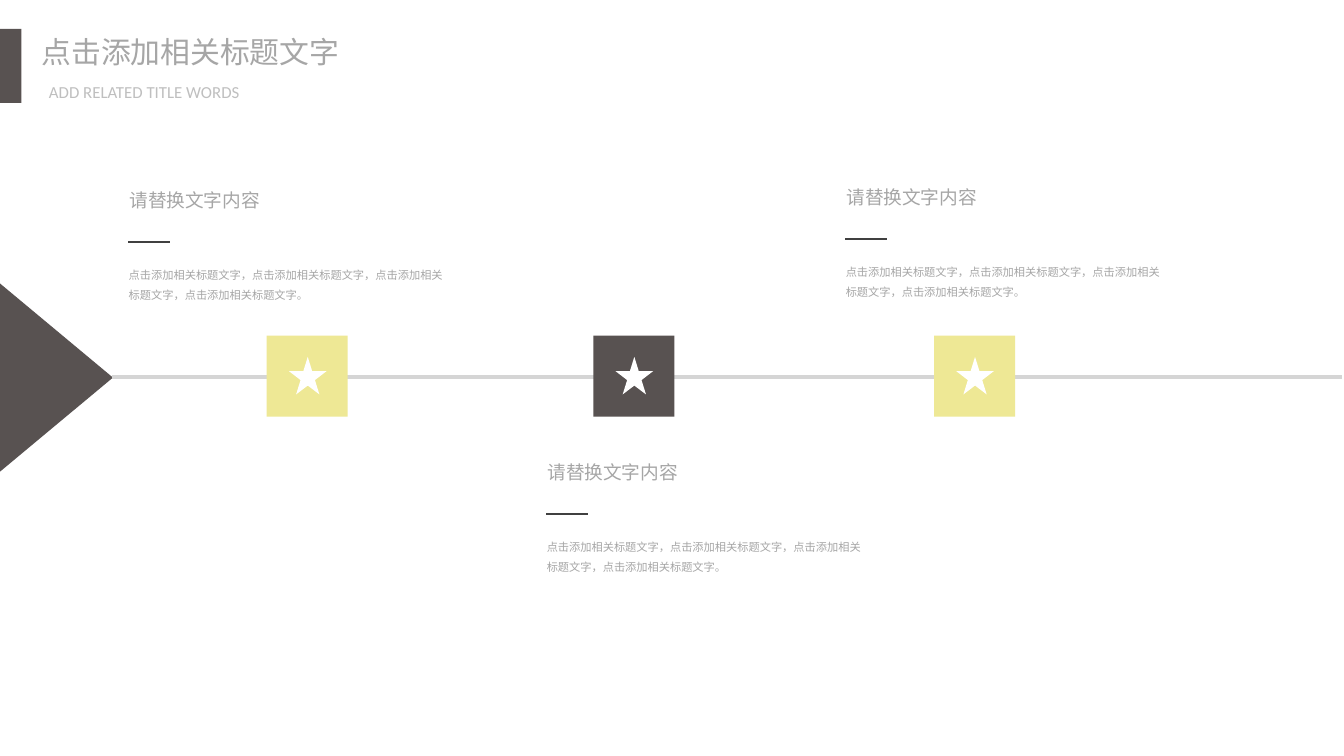
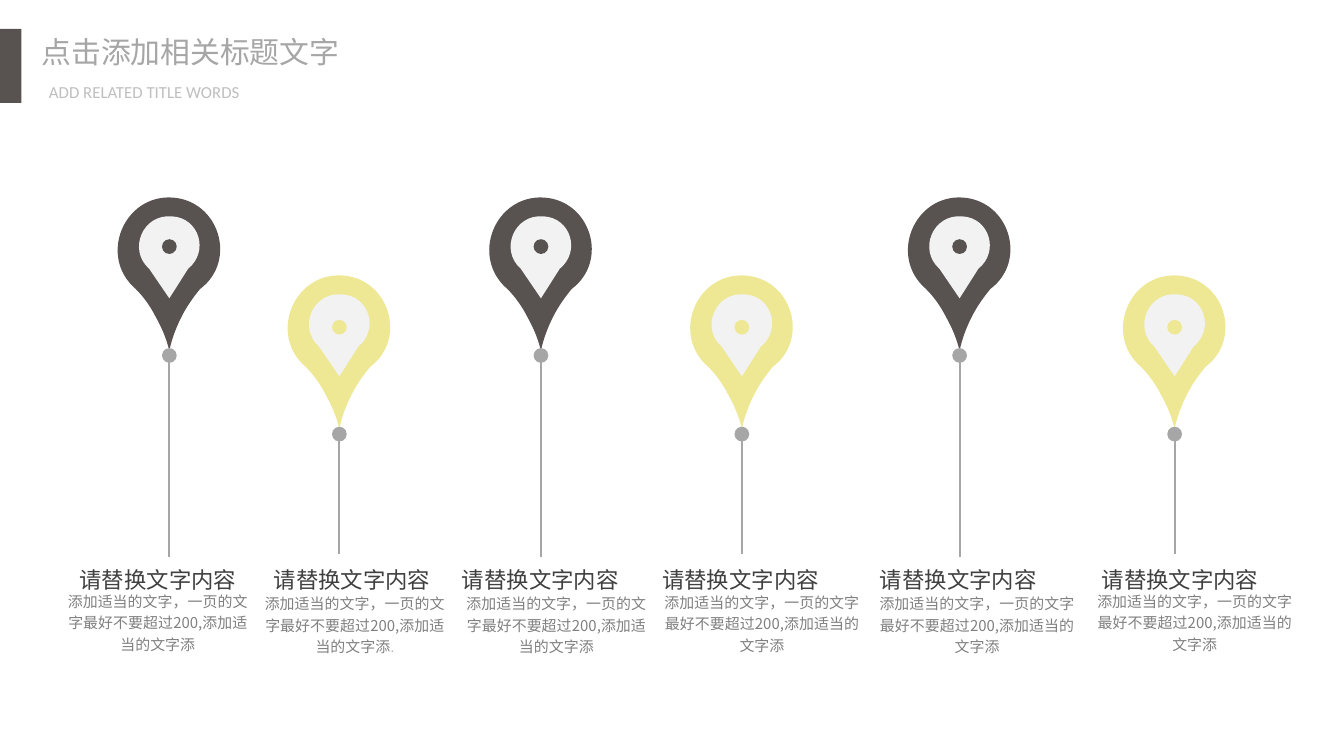
from dataclasses import dataclass
from typing import Optional, Union

from lxml.etree import SubElement
from pptx import Presentation
from pptx.dml.color import RGBColor
from pptx.enum.lang import MSO_LANGUAGE_ID
from pptx.enum.shapes import MSO_CONNECTOR, MSO_SHAPE
from pptx.enum.text import MSO_ANCHOR, MSO_AUTO_SIZE, PP_ALIGN
from pptx.oxml.ns import qn
from pptx.shapes.autoshape import Shape
from pptx.shapes.shapetree import GroupShapes, SlideShapes
from pptx.slide import Slide
from pptx.util import Inches, Length, Pt

Shapes = Union[SlideShapes, GroupShapes]
Point = tuple[float, float]
Box = tuple[float, float, float, float]

COLUMNS, ROWS = 100, 56.25
CELL = 0.1

DARK, YELLOW, WHITE = "585251", "EEE895", "FFFFFF"
GREY, PALE_GREY, TRACK_GREY = "A6A6A6", "BFBFBF", "D5D5D5"
INK, CAPTION_GREY, PIN_CORE = "404040", "808080", "F2F2F2"
CHINESE_FONT = "Noto Sans CJK SC"

TITLE = "点击添加相关标题文字"
SUBTITLE = "ADD RELATED TITLE WORDS"
HEADING = "请替换文字内容"
BODY = "点击添加相关标题文字，点击添加相关标题文字，点击添加相关标题文字，点击添加相关标题文字。"
CAPTION = "添加适当的文字，一页的文字最好不要超过200,添加适当的文字添"


@dataclass(frozen=True)
class TextStyle:
    size: float
    font: str
    color: str
    align: PP_ALIGN = PP_ALIGN.LEFT
    spacing: float = 1.0
    wrap: bool = True
    margins: Point = (1, 0.5)
    anchor: MSO_ANCHOR = MSO_ANCHOR.TOP


TITLE_STYLE = TextStyle(16, CHINESE_FONT, GREY, wrap=False, margins=(0.8, 0.4))
SUBTITLE_STYLE = TextStyle(9, "Calibri", PALE_GREY, PP_ALIGN.JUSTIFY, margins=(0.8, 0.4))
STEP_HEADING_STYLE = TextStyle(10, "Roboto", GREY, wrap=False)
STEP_BODY_STYLE = TextStyle(6, "Arial", GREY, spacing=1.5)
PIN_HEADING_STYLE = TextStyle(12, "Arial", INK, PP_ALIGN.CENTER, 1.2, False, (0, 0), MSO_ANCHOR.MIDDLE)
PIN_CAPTION_STYLE = TextStyle(8, CHINESE_FONT, CAPTION_GREY, PP_ALIGN.CENTER, 1.2, True, (0, 0),
                              MSO_ANCHOR.MIDDLE)
FULL_STOP_STYLE = TextStyle(7, "Arial", GREY)


@dataclass(frozen=True)
class Step:
    marker_left: float
    color: str
    text_left: float
    text_top: float


@dataclass(frozen=True)
class Pin:
    center: float
    heading_left: float
    caption_left: float
    caption_top: float
    caption_width: float
    full_stop: Optional[str] = None


@dataclass(frozen=True)
class PinLevel:
    color: str
    top: float
    eye_top: float
    joint_top: float
    stem_top: float
    stem_bottom: float


@dataclass(frozen=True)
class Outline:
    """Box and cubic curves relative to the pin's axis and top; a single point is a straight line."""
    box: Box
    start: Point
    segments: list[tuple[Point, ...]]


STEPS = [
    Step(19.85, YELLOW, 8.6, 13.55),
    Step(44.15, DARK, 39.7, 33.8),
    Step(69.5, YELLOW, 61.95, 13.35),
]
PINS = [
    Pin(12.6, 5.85, 4.6, 43.8, 14.3),
    Pin(25.25, 20.3, 19.3, 44, 14.2, "."),
    Pin(40.25, 34.3, 34.3, 44, 14.2),
    Pin(55.2, 49.2, 49.2, 43.9, 15),
    Pin(71.4, 65.4, 65.4, 44, 14.6),
    Pin(87.4, 81.9, 81.4, 43.8, 15),
]
PIN_LEVELS = [
    PinLevel(DARK, 14.7, 17.8, 25.9, 26.3, 41.45),
    PinLevel(YELLOW, 20.5, 23.8, 31.75, 32.8, 41.2),
]
PIN_OUTLINE = Outline((-3.8, 0, 7.6, 11.4), (-2.5, 6.8), [
    ((-5.3, 4.4), (-3.4, -0.2), (0.2, 0)),
    ((3.7, 0.2), (5.1, 4.7), (2.3, 6.8)),
    ((1.8, 7.4), (1.3, 8.1), (0.9, 8.9)),
    ((0.5, 9.7), (0.2, 10.5), (0, 11.4)),
    ((-0.2, 10.5), (-0.6, 9.6), (-1, 8.9)),
    ((-1.4, 8.1), (-1.9, 7.4), (-2.5, 6.8)),
])
CORE_OUTLINE = Outline((-2.3, 1.4, 4.5, 6.1), (1.4, 5.3), [
    ((3, 4), (2.2, 1.5), (0.2, 1.4)),
    ((-2, 1.2), (-3.1, 3.9), (-1.5, 5.3)),
    ((0, 7.5),),
    ((1.4, 5.3),),
])


def grid(cells: float) -> Length:
    return Inches(cells * CELL)


def rgb(color: str) -> RGBColor:
    return RGBColor.from_string(color)


def paint(shape: Shape, color: str) -> Shape:
    shape.shadow.inherit = False
    shape.fill.solid()
    shape.fill.fore_color.rgb = rgb(color)
    shape.line.fill.background()
    return shape


def add_filled(shapes: Shapes, kind: MSO_SHAPE, box: Box, color: str) -> Shape:
    return paint(shapes.add_shape(kind, *map(grid, box)), color)


def add_line(shapes: Shapes, start: Point, end: Point, color: str, width: float) -> None:
    line = shapes.add_connector(MSO_CONNECTOR.STRAIGHT, *map(grid, (*start, *end)))
    line.line.color.rgb = rgb(color)
    line.line.width = Pt(width)
    SubElement(line._element.spPr, qn("a:effectLst"))


def add_outline(shapes: Shapes, outline: Outline, origin: Point, color: str) -> None:
    """Build a freeform on the outline's box, then give it the curved contour."""
    box_left, box_top, width, height = outline.box
    left, top = origin[0] + box_left, origin[1] + box_top
    right, bottom = left + width, top + height
    builder = shapes.build_freeform(grid(left), grid(top))
    builder.add_line_segments([(grid(x), grid(y)) for x, y in ((right, top), (right, bottom), (left, bottom))])
    shape = paint(builder.convert_to_shape(), color)
    contour = next(shape._element.iter(qn("a:path")))
    for command in list(contour):
        contour.remove(command)

    def add_command(tag: str, points: tuple[Point, ...]) -> None:
        command = SubElement(contour, qn(tag))
        for x, y in points:
            SubElement(command, qn("a:pt"), x=str(int(grid(x - box_left))), y=str(int(grid(y - box_top))))

    add_command("a:moveTo", (outline.start,))
    for segment in outline.segments:
        add_command("a:lnTo" if len(segment) == 1 else "a:cubicBezTo", segment)
    add_command("a:close", ())


def format_run(run, style: TextStyle) -> None:
    run.font.size = Pt(style.size)
    run.font.name = style.font
    run.font.color.rgb = rgb(style.color)
    if not run.text.isascii():
        run.font.language_id = MSO_LANGUAGE_ID.SIMPLIFIED_CHINESE
        SubElement(run.font._element, qn("a:ea")).set("typeface", CHINESE_FONT)


def write(shape: Shape, text: str, style: TextStyle) -> None:
    frame = shape.text_frame
    frame.text = text
    frame.word_wrap = style.wrap
    frame.auto_size = MSO_AUTO_SIZE.SHAPE_TO_FIT_TEXT
    frame.vertical_anchor = style.anchor
    frame.margin_left = frame.margin_right = grid(style.margins[0])
    frame.margin_top = frame.margin_bottom = grid(style.margins[1])
    paragraph = frame.paragraphs[0]
    paragraph.alignment = style.align
    paragraph.line_spacing = style.spacing
    format_run(paragraph.runs[0], style)


def add_text(shapes: Shapes, box: Box, text: str, style: TextStyle) -> Shape:
    shape = shapes.add_textbox(*map(grid, box))
    write(shape, text, style)
    return shape


def add_titled_slide(presentation) -> Slide:
    slide = presentation.slides.add_slide(presentation.slide_layouts[5])
    title = slide.shapes.title
    title.left, title.top, title.width, title.height = map(grid, (2.3, 2.1, 24, 3.5))
    write(title, TITLE, TITLE_STYLE)
    add_filled(slide.shapes, MSO_SHAPE.RECTANGLE, (0, 2.15, 1.6, 5.5), DARK)
    add_text(slide.shapes, (2.85, 5.7, 22.3, 2.3), SUBTITLE, SUBTITLE_STYLE)
    return slide


def add_marker(slide: Slide, step: Step) -> None:
    shapes = slide.shapes.add_group_shape().shapes
    add_filled(shapes, MSO_SHAPE.RECTANGLE, (step.marker_left, 24.97, 6.03, 6.03), step.color)
    add_filled(shapes, MSO_SHAPE.STAR_5_POINT, (step.marker_left + 1.65, 26.55, 2.8, 2.8), WHITE)


def add_step_text(slide: Slide, step: Step) -> None:
    shapes = slide.shapes.add_group_shape().shapes
    left, top = step.text_left, step.text_top
    add_text(shapes, (left, top + 5.4, 25.4, 4), BODY, STEP_BODY_STYLE)
    add_line(shapes, (left + 0.95, top + 4.45), (left + 4.05, top + 4.45), INK, 1)
    add_text(shapes, (left + 0.05, top, 11.8, 2.7), HEADING, STEP_HEADING_STYLE)


def add_pin(slide: Slide, pin: Pin, level: PinLevel) -> None:
    shapes = slide.shapes.add_group_shape().shapes
    center = pin.center
    add_line(shapes, (center, level.stem_bottom), (center, level.stem_top), GREY, 1)
    add_outline(shapes, PIN_OUTLINE, (center, level.top), level.color)
    add_outline(shapes, CORE_OUTLINE, (center, level.top), PIN_CORE)
    for dot_top, color in ((level.joint_top, GREY), (level.eye_top, level.color)):
        add_filled(shapes, MSO_SHAPE.OVAL, (center - 0.55, dot_top, 1.1, 1.1), color)
    add_text(shapes, (pin.heading_left, 41.75, 11.8, 2.4), HEADING, PIN_HEADING_STYLE)
    caption = add_text(shapes, (pin.caption_left, pin.caption_top, pin.caption_width, 4.8),
                       CAPTION, PIN_CAPTION_STYLE)
    if pin.full_stop:
        run = caption.text_frame.paragraphs[0].add_run()
        run.text = pin.full_stop
        format_run(run, FULL_STOP_STYLE)


def add_timeline_slide(presentation) -> None:
    slide = add_titled_slide(presentation)
    arrow = add_filled(slide.shapes, MSO_SHAPE.ISOSCELES_TRIANGLE, (-2.8, 23.9, 14, 8.4), DARK)
    arrow.rotation = 90
    add_line(slide.shapes, (8.3, 28.05), (99.85, 28.05), TRACK_GREY, 2)
    for step in STEPS:
        add_marker(slide, step)
    for step in STEPS:
        add_step_text(slide, step)


def add_pins_slide(presentation) -> None:
    slide = add_titled_slide(presentation)
    for index, pin in enumerate(PINS):
        add_pin(slide, pin, PIN_LEVELS[index % len(PIN_LEVELS)])


def main() -> None:
    presentation = Presentation()
    presentation.slide_width, presentation.slide_height = grid(COLUMNS), grid(ROWS)
    add_timeline_slide(presentation)
    add_pins_slide(presentation)
    presentation.save("out.pptx")


if __name__ == "__main__":
    main()
